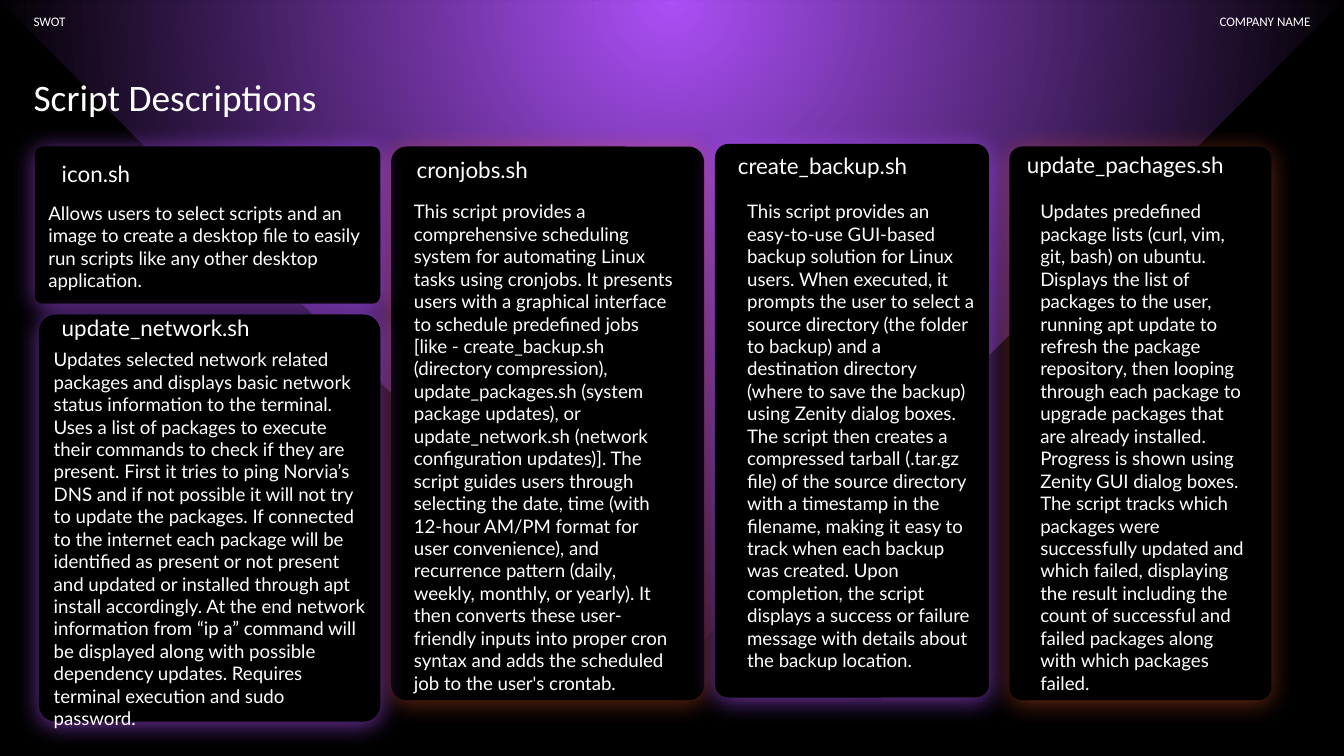
import pptx
import pptx.util
import pptx.dml.color
import pptx.enum.shapes
import pptx.enum.text
import pptx.oxml
import pptx.oxml.ns
from dataclasses import dataclass

Inches = pptx.util.Inches
Pt = pptx.util.Pt
RGB = pptx.dml.color.RGBColor.from_string
Shape = pptx.enum.shapes.MSO_SHAPE
Align = pptx.enum.text.PP_ALIGN
Anchor = pptx.enum.text.MSO_ANCHOR
NS = pptx.oxml.ns.nsdecls("a")


@dataclass(frozen=True)
class Theme:
    black: str = "000000"
    white: str = "FFFFFF"
    violet: str = "AB4FF6"
    orange: str = "FF6234"
    head_font: str = "Calibri"
    body_font: str = "Lato"
    tag_size: int = 7
    title_size: int = 20
    name_size: int = 12
    body_size: int = 10


class Deck:
    def __init__(self, theme):
        self.theme = theme
        self.show = pptx.Presentation()
        self.show.slide_width = Inches(10)
        self.show.slide_height = Inches(10 * 9 / 16)
        self.slide = self.show.slides.add_slide(self.show.slide_layouts[6])
        fill = self.slide.background.fill
        fill.solid()
        fill.fore_color.rgb = RGB(theme.black)

    def shape(self, kind, box):
        shape = self.slide.shapes.add_shape(kind, *map(Inches, box))
        shape.shadow.inherit = False
        shape.line.fill.background()
        return shape

    def beam(self, box, turn):
        shape = self.shape(Shape.RIGHT_TRIANGLE, box)
        shape.rotation = turn
        stops = [(0, self.theme.violet), (72, self.theme.black), (100, self.theme.black)]
        marks = "".join(
            f'<a:gs pos="{spot * 1000}"><a:srgbClr val="{tint}"/></a:gs>' for spot, tint in stops
        )
        shape.fill.background()
        old = shape._element.spPr.find(pptx.oxml.ns.qn("a:noFill"))
        old.getparent().replace(old, pptx.oxml.parse_xml(
            f'<a:gradFill {NS} rotWithShape="1"><a:gsLst>{marks}</a:gsLst><a:path path="circle">'
            '<a:fillToRect l="50000" t="50000" r="50000" b="50000"/></a:path></a:gradFill>'
        ))

    def card(self, box, glow, alpha):
        shape = self.shape(Shape.ROUNDED_RECTANGLE, box)
        shape.adjustments[0] = 0.05
        shape.fill.solid()
        shape.fill.fore_color.rgb = RGB(self.theme.black)
        shape._element.spPr.find(pptx.oxml.ns.qn("a:effectLst")).append(pptx.oxml.parse_xml(
            f'<a:outerShdw {NS} blurRad="{Pt(13.5)}" dist="{Pt(1.5)}" dir="5400000" algn="bl"'
            f' rotWithShape="0"><a:srgbClr val="{glow}"><a:alpha val="{alpha * 1000}"/>'
            "</a:srgbClr></a:outerShdw>"
        ))

    def text(self, words, box, size, font, anchor=Anchor.TOP, **style):
        frame = self.slide.shapes.add_textbox(*map(Inches, box)).text_frame
        look = {"word_wrap": True, "vertical_anchor": anchor}
        look.update({f"margin_{side}": 0 for side in ("left", "top", "right", "bottom")})
        line = frame.paragraphs[0]
        line.text = words
        face = line.runs[0].font
        face.color.rgb = RGB(self.theme.white)
        for part, form in ((frame, look), (line, style), (face, {"size": Pt(size), "name": font})):
            for key, value in form.items():
                setattr(part, key, value)

    def tag(self, words, left, align):
        self.text(words, (left, 0.06, 2.73, 0.19), self.theme.tag_size, self.theme.head_font,
                  Anchor.MIDDLE, alignment=align)

    def title(self, words, box):
        self.text(words, box, self.theme.title_size, self.theme.head_font, line_spacing=1.15)

    def name(self, words, box):
        self.text(words, box, self.theme.name_size, self.theme.body_font, line_spacing=0.95)

    def body(self, words, box):
        self.text(words, box, self.theme.body_size, self.theme.body_font, space_after=Pt(10))


def main():
    theme = Theme()
    deck = Deck(theme)
    violet, orange = (theme.violet, 65), (theme.orange, 40)
    scripts = [
        ("cronjobs.sh", orange, (2.91, 1.09, 2.33, 4.12), (3.1, 1.18, 1.95, 0.47),
         (3.08, 1.49, 1.95, 0.78),
         "This script provides a comprehensive scheduling system for automating Linux tasks using "
         "cronjobs. It presents users with a graphical interface to schedule predefined jobs "
         "[like - create_backup.sh (directory compression), update_packages.sh (system package "
         "updates), or update_network.sh (network configuration updates)]. The script guides users "
         "through selecting the date, time (with 12-hour AM/PM format for user convenience), and "
         "recurrence pattern (daily, weekly, monthly, or yearly). It then converts these "
         "user-friendly inputs into proper cron syntax and adds the scheduled job to the user's "
         "crontab."),
        ("update_pachages.sh", orange, (7.51, 1.09, 1.95, 4.12), (7.64, 1.14, 1.84, 0.51),
         (7.74, 1.49, 1.58, 3.18),
         "Updates predefined package lists (curl, vim, git, bash) on ubuntu. Displays the list of "
         "packages to the user, running apt update to refresh the package repository, then looping "
         "through each package to upgrade packages that are already installed. Progress is shown "
         "using Zenity GUI dialog boxes. The script tracks which packages were successfully updated "
         "and which failed, displaying the result including the count of successful and failed "
         "packages along with which packages failed."),
        ("icon.sh", violet, (0.26, 1.09, 2.57, 1.17), (0.46, 1.21, 2.23, 0.37),
         (0.36, 1.5, 2.33, 0.76),
         "Allows users to select scripts and an image to create a desktop file to easily run "
         "scripts like any other desktop application."),
        ("create_backup.sh", violet, (5.32, 1.07, 2.04, 4.12), (5.49, 1.15, 1.84, 0.47),
         (5.56, 1.49, 1.7, 3.18),
         "This script provides an easy-to-use GUI-based backup solution for Linux users. When "
         "executed, it prompts the user to select a source directory (the folder to backup) and a "
         "destination directory (where to save the backup) using Zenity dialog boxes. The script "
         "then creates a compressed tarball (.tar.gz file) of the source directory with a timestamp "
         "in the filename, making it easy to track when each backup was created. Upon completion, "
         "the script displays a success or failure message with details about the backup location."),
        ("update_network.sh", violet, (0.29, 2.34, 2.54, 3.03), (0.46, 2.35, 2.13, 0.37),
         (0.4, 2.59, 2.33, 2.7),
         "Updates selected network related packages and displays basic network status information "
         "to the terminal. Uses a list of packages to execute their commands to check if they are "
         "present. First it tries to ping Norvia’s DNS and if not possible it will not try to "
         "update the packages. If connected to the internet each package will be identified as "
         "present or not present and updated or installed through apt install accordingly. At the "
         "end network information from “ip a” command will be displayed along with possible "
         "dependency updates. Requires terminal execution and sudo password."),
    ]

    deck.beam((1.46, -3.53, 7.07, 7.07), 315)
    deck.tag("SWOT", 0.25, Align.LEFT)
    deck.tag("COMPANY NAME", 7.02, Align.RIGHT)
    deck.title("Script Descriptions", (0.25, 0.5, 4.55, 0.51))
    for name, glow, card, head, body, words in scripts:
        deck.card(card, *glow)
        deck.body(words, body)
        deck.name(name, head)
    deck.show.save("out.pptx")


if __name__ == "__main__":
    main()
